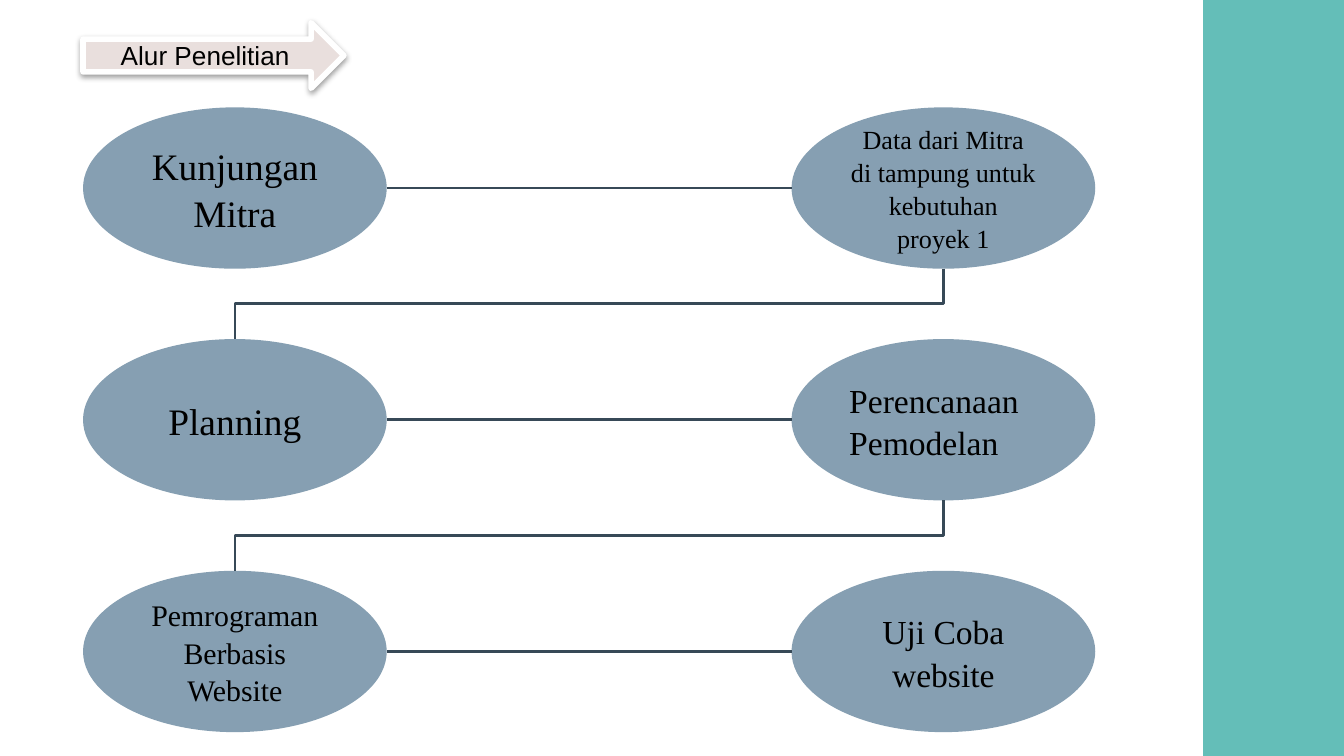
from dataclasses import dataclass

import lxml.etree
import pptx
import pptx.dml.color
import pptx.enum.shapes
import pptx.enum.text
import pptx.oxml
import pptx.oxml.ns
import pptx.util

Cm, Pt = pptx.util.Cm, pptx.util.Pt
RGBColor = pptx.dml.color.RGBColor
SHAPE = pptx.enum.shapes.MSO_SHAPE
ELBOW = pptx.enum.shapes.MSO_CONNECTOR.ELBOW
ALIGN = pptx.enum.text.PP_ALIGN
MIDDLE = pptx.enum.text.MSO_ANCHOR.MIDDLE

TEAL = RGBColor(0x64, 0xBE, 0xB8)
STEEL = RGBColor(0x86, 0x9F, 0xB2)
NAVY = RGBColor(0x37, 0x49, 0x57)
BLUSH = RGBColor(0xE9, 0xDF, 0xDD)
WHITE = RGBColor(0xFF, 0xFF, 0xFF)
BLACK = RGBColor(0, 0, 0)

# Step grid in cm
LEFT, TOP = 1.57, 2.03
STEP_W, STEP_H = 5.74, 3.05
COL_PITCH, ROW_PITCH = 13.39, 4.38
ROWS = 3

SHADOW = (
    f'<a:effectLst {pptx.oxml.ns.nsdecls("a")}>'
    '<a:outerShdw blurRad="40000" dist="20000" dir="5400000" rotWithShape="0">'
    '<a:srgbClr val="000000"><a:alpha val="38000"/></a:srgbClr>'
    '</a:outerShdw></a:effectLst>'
)


@dataclass(frozen=True)
class Step:
    text: str
    col: int
    row: int
    size: int
    align: ALIGN = ALIGN.CENTER

    @property
    def x(self) -> float:
        return LEFT + self.col * COL_PITCH

    @property
    def y(self) -> float:
        return TOP + self.row * ROW_PITCH


STEPS = [
    Step("Kunjungan Mitra", 0, 0, 20),
    Step("Data dari Mitra di tampung untuk kebutuhan proyek 1", 1, 0, 14),
    Step("Planning", 0, 1, 20),
    Step("Perencanaan Pemodelan", 1, 1, 18, ALIGN.LEFT),
    Step("Pemrograman Berbasis Website", 0, 2, 16),
    Step("Uji Coba website", 1, 2, 18),
]


def add_filled(s, kind: SHAPE, x: float, y: float, w: float, h: float, color: RGBColor):
    sp = s.shapes.add_shape(kind, Cm(x), Cm(y), Cm(w), Cm(h))
    sp.shadow.inherit = False
    sp.fill.solid()
    sp.fill.fore_color.rgb = color
    sp.line.fill.background()
    return sp


def write(sp, text: str, name: str, size: int, align: ALIGN, spacing: float = 1.0) -> None:
    tf = sp.text_frame
    tf.word_wrap = True
    tf.vertical_anchor = MIDDLE
    p = tf.paragraphs[0]
    p.alignment = align
    p.line_spacing = spacing
    r = p.add_run()
    r.text = text
    for key, value in {"name": name, "size": Pt(size)}.items():
        setattr(r.font, key, value)
    r.font.color.rgb = BLACK


def add_step(s, step: Step) -> None:
    sp = add_filled(s, SHAPE.FLOWCHART_CONNECTOR, step.x, step.y, STEP_W, STEP_H, STEEL)
    margins = ("margin_left", "margin_right", "margin_top", "margin_bottom")
    for key, value in dict.fromkeys(margins, Cm(0.25)).items():
        setattr(sp.text_frame, key, value)
    write(sp, step.text, "Times New Roman", step.size, step.align, 1.05)


def add_elbow(s, x1: float, y1: float, x2: float, y2: float):
    c = s.shapes.add_connector(ELBOW, Cm(x1), Cm(y1), Cm(x2), Cm(y2))
    c.line.color.rgb = NAVY
    c.line.width = Pt(1.5)
    lxml.etree.SubElement(c.element.spPr, pptx.oxml.ns.qn("a:effectLst"))
    return c


def link_across(s, row: int) -> None:
    y = TOP + row * ROW_PITCH + STEP_H / 2
    add_elbow(s, LEFT + STEP_W, y, LEFT + COL_PITCH, y)


def link_down(s, row: int) -> None:
    """Lead from the right step of a row to the left step of the next one."""
    gap = ROW_PITCH - STEP_H
    cx = LEFT + (STEP_W + COL_PITCH) / 2
    cy = TOP + row * ROW_PITCH + STEP_H + gap / 2
    # A quarter turn makes the elbow leave and arrive vertically
    c = add_elbow(s, cx - gap / 2, cy - COL_PITCH / 2, cx + gap / 2, cy + COL_PITCH / 2)
    c.element.spPr.find(pptx.oxml.ns.qn("a:xfrm")).set("rot", "5400000")


def add_title_arrow(s) -> None:
    sp = add_filled(s, SHAPE.RIGHT_ARROW, 1.57, 0.43, 4.93, 1.24, BLUSH)
    sp.line.color.rgb = WHITE
    sp.line.width = Pt(3)
    spPr = sp.element.spPr
    spPr.replace(spPr.find(pptx.oxml.ns.qn("a:effectLst")), pptx.oxml.parse_xml(SHADOW))
    write(sp, "Alur Penelitian", "Arial", 14, ALIGN.CENTER)


def main() -> None:
    prs = pptx.Presentation()
    prs.slide_width, prs.slide_height = Cm(25.4), Cm(14.29)
    s = prs.slides.add_slide(prs.slide_layouts[6])
    add_filled(s, SHAPE.RECTANGLE, 22.74, 0, 2.66, 14.29, TEAL)
    for step in STEPS:
        add_step(s, step)
    for row in range(ROWS):
        link_across(s, row)
    for row in range(ROWS - 1):
        link_down(s, row)
    add_title_arrow(s)
    prs.save("out.pptx")


if __name__ == "__main__":
    main()
